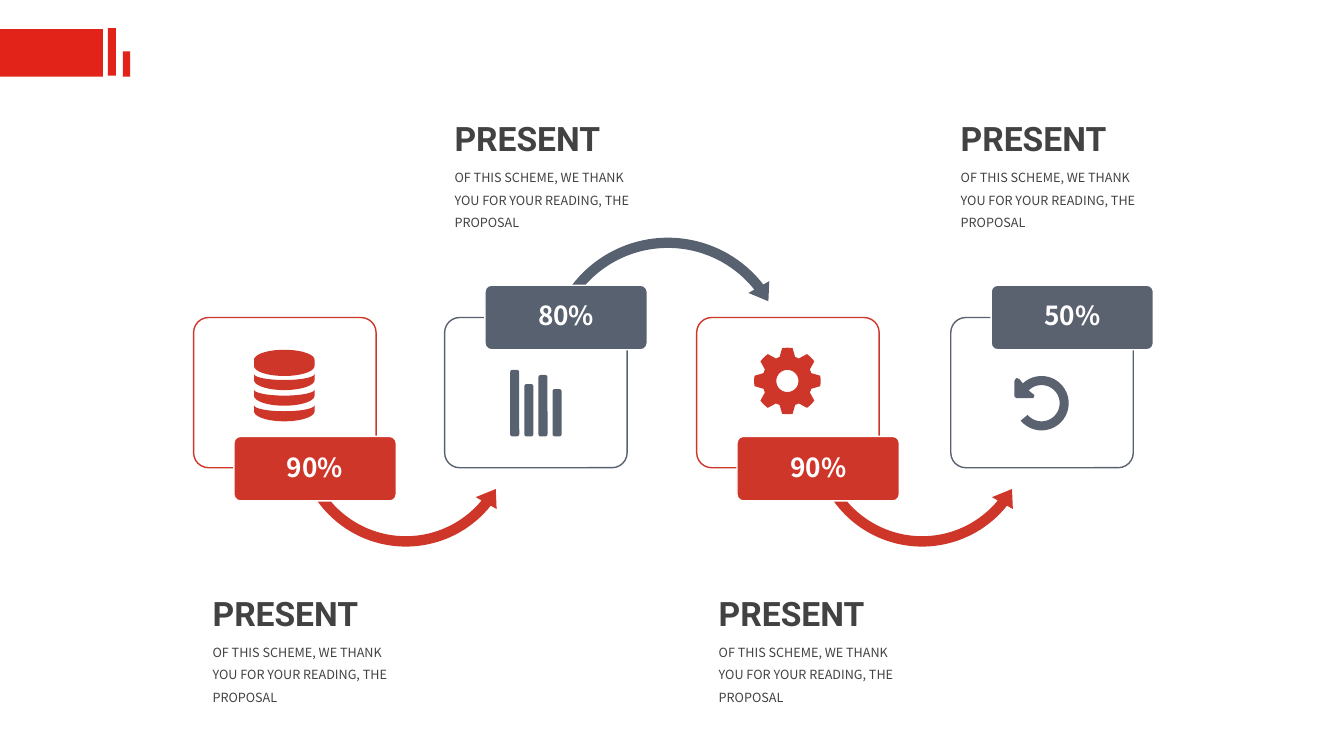
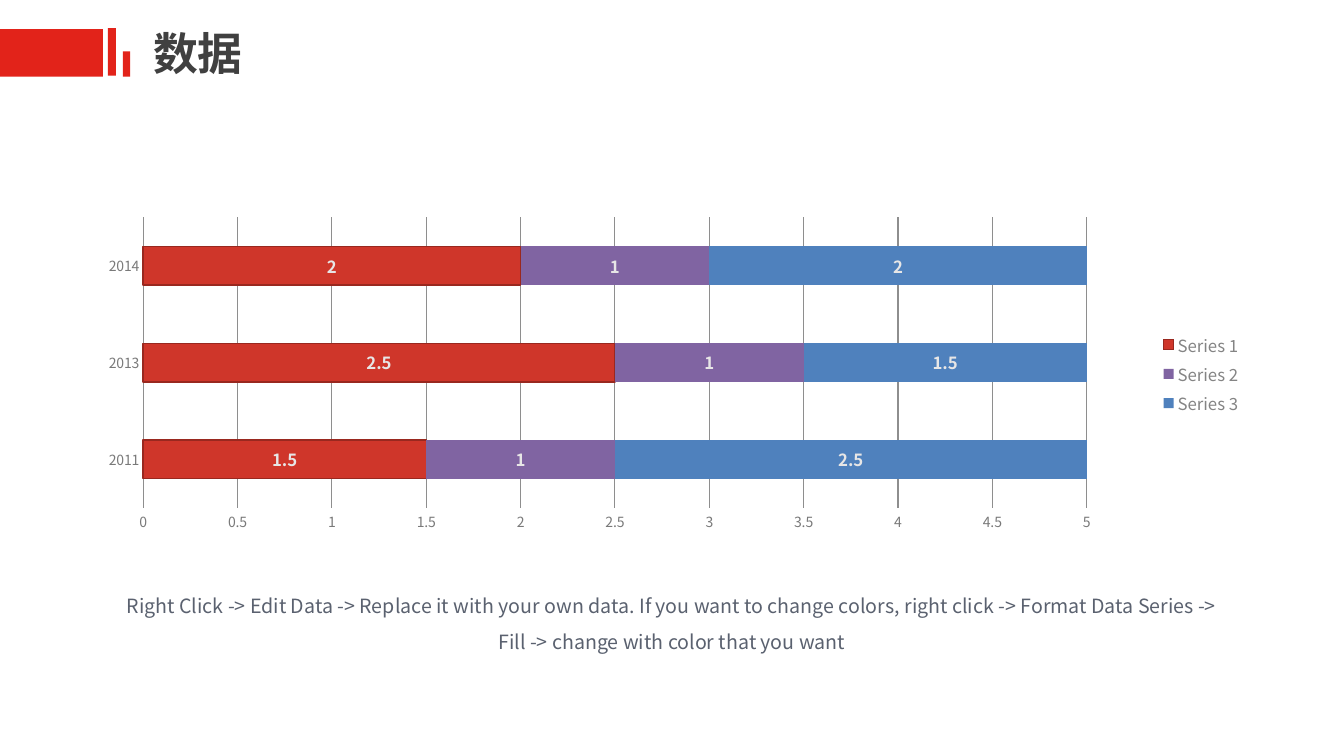
from dataclasses import dataclass
from math import cos, radians, sin

from lxml.etree import SubElement
from pptx import Presentation
from pptx.chart.data import CategoryChartData
from pptx.dml.color import RGBColor
from pptx.enum.chart import XL_CHART_TYPE as ChartType
from pptx.enum.chart import XL_LEGEND_POSITION as LegendPosition
from pptx.enum.chart import XL_TICK_MARK as TickMark
from pptx.enum.shapes import MSO_SHAPE as Shape
from pptx.enum.text import MSO_ANCHOR as Anchor
from pptx.enum.text import PP_ALIGN as Align
from pptx.oxml import parse_xml
from pptx.oxml.ns import nsdecls, qn
from pptx.util import Inches, Pt

rgb = RGBColor.from_string


@dataclass(frozen=True)
class Theme:
    band = rgb("E2231A")
    red = rgb("CF362A")
    red_edge = rgb("99281F")
    slate = rgb("586170")
    steel = rgb("5A616F")
    purple = rgb("8064A2")
    blue = rgb("4F81BD")
    ink = rgb("424242")
    title_ink = rgb("404040")
    axis_ink = rgb("797979")
    legend_ink = rgb("848484")
    label_ink = rgb("E7E6E6")
    grid = rgb("8E8E8E")
    white = rgb("FFFFFF")
    sans = "Noto Sans CJK SC"
    heading_font = "Roboto"
    title_size = Pt(32)
    heading_size = Pt(24)
    badge_size = Pt(18.7)
    caption_size = Pt(14)
    label_size = Pt(12)
    axis_size = Pt(10)
    body_size = Pt(9)


theme = Theme()


def write(frame, text, size, color, bold=False, font=theme.sans, align=None, spacing=None):
    frame.text = text
    paragraph = frame.paragraphs[0]
    paragraph.alignment = align
    paragraph.line_spacing = spacing
    run = paragraph.runs[0]
    run.font.size = size
    run.font.bold = bold
    run.font.name = font
    run.font.color.rgb = color
    SubElement(run.font._element, qn("a:ea"), typeface=font)


def arc(cx, cy, rx, ry, start, end, steps=32):
    angles = [radians(start + (end - start) * i / steps) for i in range(steps + 1)]
    return [(cx + rx * cos(angle), cy + ry * sin(angle)) for angle in angles]


prs = Presentation()
prs.slide_width = Inches(13.33)
prs.slide_height = Inches(7.5)

bands = [(1.07, 0.28, 0.08, 0.47), (1.22, 0.51, 0.07, 0.25), (0, 0.29, 1.02, 0.47)]
process, data = [prs.slides.add_slide(prs.slide_layouts[6]) for _ in range(2)]
for slide in (process, data):
    for box in bands:
        band = slide.shapes.add_shape(Shape.RECTANGLE, *map(Inches, box))
        band.shadow.inherit = False
        band.fill.solid()
        band.fill.fore_color.rgb = theme.band
        band.line.fill.background()

under_arc = (0.045, 5.658, 23.414, 90.245, 0.052)
over_arc = (0.04, 5.09, 193.155, 125.755, 0.047)
arrows = [
    (Shape.LEFT_CIRCULAR_ARROW, 2.88, 3.2, 2.29, under_arc, theme.red),
    (Shape.CIRCULAR_ARROW, 5.36, 2.29, 2.53, over_arc, theme.slate),
    (Shape.LEFT_CIRCULAR_ARROW, 8, 3.2, 2.29, under_arc, theme.red),
]
for preset, left, top, size, adjustments, color in arrows:
    arrow = process.shapes.add_shape(preset, *map(Inches, (left, top, size, size)))
    arrow.shadow.inherit = False
    for i, value in enumerate(adjustments):
        arrow.adjustments[i] = value
    arrow.fill.solid()
    arrow.fill.fore_color.rgb = color
    arrow.line.fill.background()

steps = [
    (1.92, 2.01, "90%", theme.red, False),
    (4.41, 4.41, "80%", theme.slate, True),
    (6.91, 7.03, "90%", theme.red, False),
    (9.43, 9.43, "50%", theme.steel, True),
]
for card_left, text_left, percent, color, raised in steps:
    card = process.shapes.add_shape(
        Shape.ROUNDED_RECTANGLE, *map(Inches, (card_left, 3.15, 1.81, 1.49)))
    card.fill.background()
    card.line.color.rgb = color

    badge_top = 2.83 if raised else 4.33
    badge = process.shapes.add_shape(
        Shape.ROUNDED_RECTANGLE, *map(Inches, (card_left + 0.4, badge_top, 1.61, 0.64)))
    badge.fill.solid()
    badge.fill.fore_color.rgb = color
    badge.line.color.rgb = theme.white
    badge.text_frame.vertical_anchor = Anchor.MIDDLE
    write(badge.text_frame, percent, theme.badge_size, theme.white, True,
          align=Align.CENTER, spacing=0.9)

    for panel in (card, badge):
        panel.shadow.inherit = False
        panel.adjustments[0] = 0.1
        panel.line.width = Pt(1)

    text_top = 1.12 if raised else 5.83
    heading = process.shapes.add_textbox(*map(Inches, (text_left, text_top, 1.79, 0.5)))
    write(heading.text_frame, "PRESENT", theme.heading_size, theme.ink, True,
          theme.heading_font)
    body = process.shapes.add_textbox(*map(Inches, (text_left, text_top + 0.44, 2.11, 0.56)))
    body.text_frame.word_wrap = True
    write(body.text_frame, "OF THIS SCHEME, WE THANK YOU FOR YOUR READING, THE PROPOSAL",
          theme.body_size, theme.ink, spacing=1.5)

database = [arc(2.82, 3.57, 0.3, 0.1, 180, 360) + arc(2.82, 3.63, 0.3, 0.1, 0, 180)]
for i in range(3):
    rim = 3.71 + 0.155 * i
    database.append(arc(2.82, rim, 0.3, 0.06, 180, 0)
                    + arc(2.82, rim + 0.06, 0.3, 0.1, 0, 180))

gear_rim = []
for tooth in range(0, 360, 45):
    gear_rim += arc(7.81, 3.78, 0.33, 0.33, tooth - 9, tooth + 9, 4)
    gear_rim += arc(7.81, 3.78, 0.25, 0.25, tooth + 18, tooth + 27, 2)
gear = [gear_rim, arc(7.81, 3.78, 0.11, 0.11, 360, 0)]

undo_head = [(10.26, 3.92), (10.25, 3.95), (10.08, 3.95), (10.06, 3.93),
             (10.06, 3.78), (10.08, 3.75), (10.11, 3.76), (10.15, 3.81)]
undo = [arc(10.33, 4, 0.18, 0.18, 140, -135) + undo_head
        + arc(10.33, 4, 0.27, 0.27, -135, 140)]

for outlines, color in ((database, theme.red), (gear, theme.red), (undo, theme.steel)):
    contours = [[(Inches(x), Inches(y)) for x, y in outline] for outline in outlines]
    builder = process.shapes.build_freeform(*contours[0][0])
    builder.add_line_segments(contours[0][1:], close=True)
    for contour in contours[1:]:
        builder.move_to(*contour[0])
        builder.add_line_segments(contour[1:], close=True)
    icon = builder.convert_to_shape()
    icon.shadow.inherit = False
    icon.fill.solid()
    icon.fill.fore_color.rgb = color
    icon.line.fill.background()

for i, top in enumerate((3.67, 3.81, 3.72, 3.86)):
    bar = process.shapes.add_shape(
        Shape.ROUNDED_RECTANGLE, *map(Inches, (5.06 + 0.14 * i, top, 0.09, 4.33 - top)))
    bar.shadow.inherit = False
    bar.adjustments[0] = 0.25
    bar.fill.solid()
    bar.fill.fore_color.rgb = theme.slate
    bar.line.fill.background()

title = data.shapes.add_textbox(*map(Inches, (1.42, 0.26, 8.31, 0.59)))
title.text_frame.word_wrap = True
title.text_frame.vertical_anchor = Anchor.MIDDLE
write(title.text_frame, "数据", theme.title_size, theme.title_ink, True, spacing=0.9)

yearly = CategoryChartData()
yearly.categories = ["2011", "2013", "2014"]
yearly.add_series("Series 1", (1.5, 2.5, 2))
yearly.add_series("Series 2", (1, 1, 1))
yearly.add_series("Series 3", (2.5, 1.5, 2))
chart = data.shapes.add_chart(
    ChartType.BAR_STACKED, *map(Inches, (0.78, 1.98, 11.64, 3.46)), yearly).chart
chart.has_title = False
chart.has_legend = True
chart.legend.position = LegendPosition.RIGHT
chart.legend.include_in_layout = False

plot = chart.plots[0]
plot.gap_width = 150
plot.overlap = 100
plot.vary_by_categories = False
for series, color in zip(plot.series, (theme.red, theme.purple, theme.blue)):
    series.format.fill.solid()
    series.format.fill.fore_color.rgb = color
    labels = series.data_labels
    labels.show_value = True
    labels.font.size = theme.label_size
    labels.font.bold = True
    labels.font.name = theme.sans
    labels.font.color.rgb = theme.label_ink
plot.series[0].format.line.color.rgb = theme.red_edge
plot.series[0].format.line.width = Pt(1)

for axis in (chart.category_axis, chart.value_axis):
    axis.major_tick_mark = TickMark.NONE
    axis.minor_tick_mark = TickMark.NONE
    axis.format.line.fill.background()
values = chart.value_axis
values.minimum_scale = 0
values.maximum_scale = 5
values.major_unit = 0.5
values.has_major_gridlines = True
values.major_gridlines.format.line.color.rgb = theme.grid
values.major_gridlines.format.line.width = Pt(0.75)

chart_fonts = [
    (chart.font, theme.axis_size, theme.ink),
    (chart.category_axis.tick_labels.font, theme.axis_size, theme.axis_ink),
    (values.tick_labels.font, theme.axis_size, theme.axis_ink),
    (chart.legend.font, theme.label_size, theme.legend_ink),
]
for font, size, color in chart_fonts:
    font.size = size
    font.name = theme.sans
    font.color.rgb = color

plot_area = chart._chartSpace.find(".//" + qn("c:plotArea"))
for layout in plot_area.findall(qn("c:layout")):
    plot_area.remove(layout)
plot_area.insert(0, parse_xml(
    f'<c:layout {nsdecls("c")}><c:manualLayout><c:layoutTarget val="inner"/>'
    '<c:xMode val="edge"/><c:yMode val="edge"/><c:x val="0.055"/><c:y val="0.051"/>'
    '<c:w val="0.804"/><c:h val="0.833"/></c:manualLayout></c:layout>'))

caption = data.shapes.add_textbox(*map(Inches, (1.13, 5.73, 11.07, 0.73)))
caption.text_frame.word_wrap = True
write(caption.text_frame,
      "Right Click -> Edit Data -> Replace it with your own data. If you want to change "
      "colors, right click -> Format Data Series -> Fill -> change with color that you want",
      theme.caption_size, theme.steel, align=Align.CENTER, spacing=1.5)

prs.save("out.pptx")
